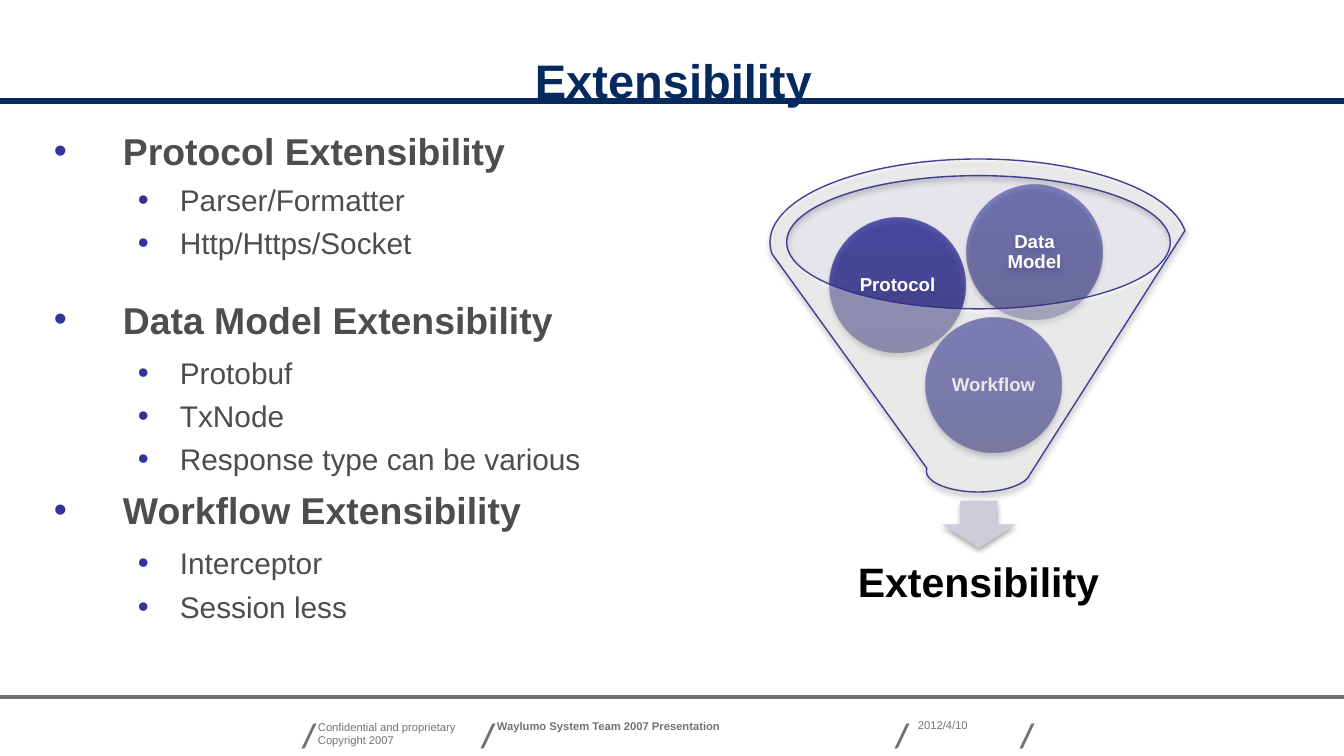
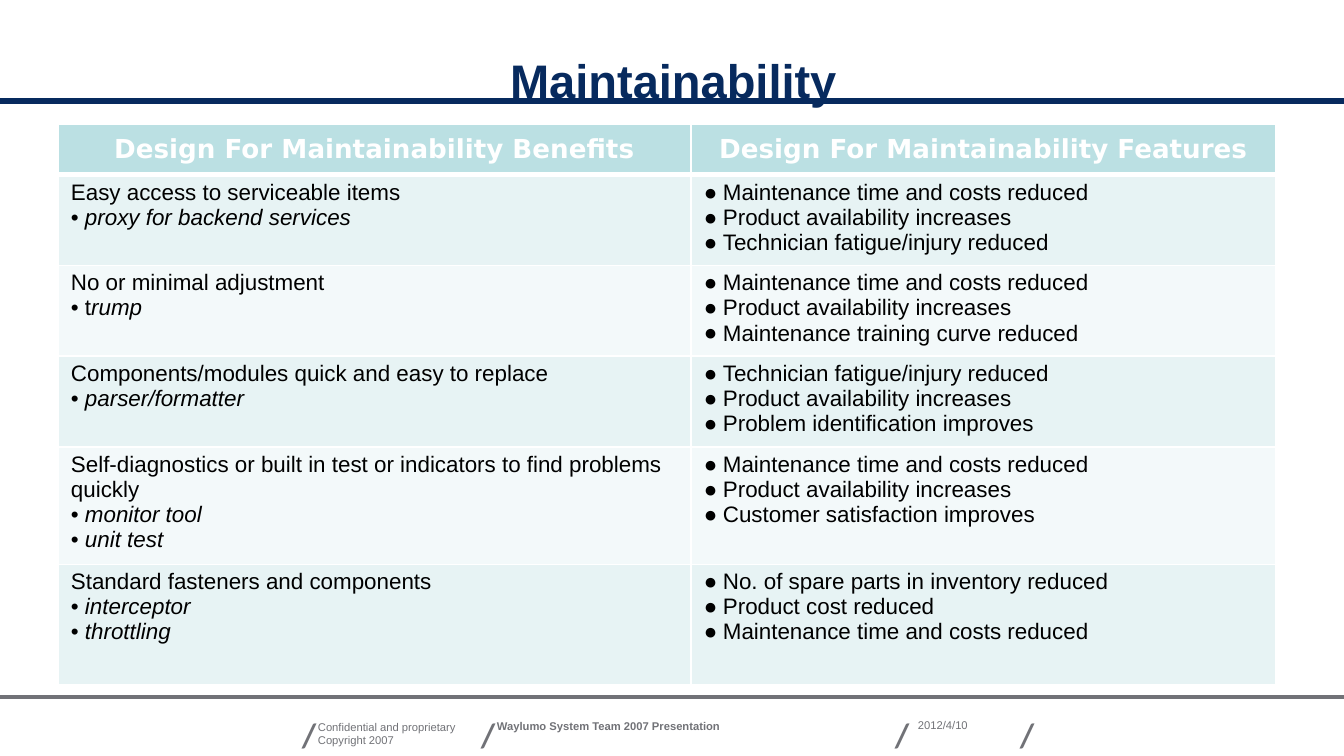
from lxml.etree import SubElement
from pptx import Presentation
from pptx.dml.color import RGBColor
from pptx.enum.shapes import MSO_CONNECTOR, MSO_SHAPE
from pptx.enum.text import MSO_ANCHOR, PP_ALIGN
from pptx.oxml import parse_xml
from pptx.oxml.ns import nsdecls, qn
from pptx.util import Pt

PX = 914400 / 134.4
WIDTH, HEIGHT = 1344, 756
NAVY, GREY, WHITE, BLACK = "072A5E", "717277", "FFFFFF", "000000"
BODY_TEXT, BULLET, OUTLINE = "4D4D4D", "333399", "2D2D8A"
HEADER_FILL, ROW_FILLS = "BBE0E3", ("E7F3F4", "F3F9FA")

TOPICS = [
    ("Protocol Extensibility", ["Parser/Formatter", "Http/Https/Socket"]),
    ("Data Model Extensibility", ["Protobuf", "TxNode", "Response type can be various"]),
    ("Workflow Extensibility", ["Interceptor", "Session less"]),
]
# Space before each topic heading and before its first point, in points
TOPIC_SPACES = [(0, 4.5), (19.5, 7), (5.5, 7)]

TIME = "Maintenance time and costs reduced"
AVAILABILITY = "Product availability increases"
FATIGUE = "Technician fatigue/injury reduced"
HEADINGS = ["Design For Maintainability Benefits", "Design For Maintainability Features"]
# Benefit, its examples (any part before "|" stays upright), features
MAINTENANCE_ROWS = [
    ("Easy access to serviceable items", ["proxy for backend services"],
     [TIME, AVAILABILITY, FATIGUE]),
    ("No or minimal adjustment", ["t|rump"],
     [TIME, AVAILABILITY, "Maintenance training curve reduced"]),
    ("Components/modules quick and easy to replace", ["parser/formatter"],
     [FATIGUE, AVAILABILITY, "Problem identification improves"]),
    ("Self-diagnostics or built in test or indicators to find problems quickly",
     ["monitor tool", "unit test"],
     [TIME, AVAILABILITY, "Customer satisfaction improves"]),
    ("Standard fasteners and components", ["interceptor", "throttling"],
     ["No. of spare parts in inventory reduced", "Product cost reduced", TIME]),
]
COLUMN_WIDTHS = [633, 585]
ROW_HEIGHTS = [51, 87, 87, 87, 108, 120]


def px(length):
    return round(length * PX)


def color(value):
    return RGBColor.from_string(value)


def style(paragraph, size, text_color, bold=False, font="Arial", align=PP_ALIGN.LEFT):
    paragraph.alignment = align
    paragraph.font.size = Pt(size)
    paragraph.font.bold = bold
    paragraph.font.name = font
    paragraph.font.color.rgb = color(text_color)


def set_bullet(paragraph, character, margin, hang, bullet_color=None, percent=None):
    properties = paragraph._p.get_or_add_pPr()
    properties.set("marL", str(px(margin)))
    properties.set("indent", str(-px(hang)))
    if bullet_color:
        SubElement(SubElement(properties, qn("a:buClr")), qn("a:srgbClr"), val=bullet_color)
    if percent:
        SubElement(properties, qn("a:buSzPct"), val=str(percent * 1000))
    SubElement(properties, qn("a:buFont"), typeface="Arial")
    SubElement(properties, qn("a:buChar"), char=character)


def set_insets(frame, left, top, right, bottom):
    frame.margin_left, frame.margin_top = px(left), px(top)
    frame.margin_right, frame.margin_bottom = px(right), px(bottom)


def next_paragraph(frame):
    """Return the empty first paragraph, or a new one once that is filled."""
    first = frame.paragraphs[0]
    return frame.add_paragraph() if first.runs else first


def add_frame(slide, box, insets=(0, 0, 0, 0), wrap=True):
    frame = slide.shapes.add_textbox(*map(px, box)).text_frame
    frame.word_wrap = wrap
    frame.vertical_anchor = MSO_ANCHOR.TOP
    set_insets(frame, *insets)
    return frame


def add_text(slide, box, lines, size, text_color, insets=(0, 0, 0, 0), wrap=True, **options):
    frame = add_frame(slide, box, insets, wrap)
    for line in lines:
        paragraph = next_paragraph(frame)
        paragraph.add_run().text = line
        style(paragraph, size, text_color, **options)
    return frame


def add_rule(slide, y, rule_color, width):
    line = slide.shapes.add_connector(MSO_CONNECTOR.STRAIGHT, 0, px(y), px(WIDTH), px(y))
    line.line.color.rgb = color(rule_color)
    line.line.width = Pt(width)
    SubElement(line._element.spPr, qn("a:effectLst"))


def add_footer(slide, top):
    add_rule(slide, top, GREY, 2)
    for x in (302, 481, 895, 1020):
        add_text(slide, (x, top + 17, 11, 31), ["/"], 18, GREY, wrap=False,
                 bold=True, font="Calibri")
    insets = (13, 7, 13, 7)
    add_text(slide, (305, top + 16, 191, 23),
             ["Confidential and proprietary", "Copyright 2007"], 6, GREY, insets)
    add_text(slide, (484, top + 16, 314, 31),
             ["Waylumo System Team 2007 Presentation"], 6, GREY, insets, bold=True)
    add_text(slide, (918, top + 21, 73, 16), ["2012/4/10"], 6, GREY)


def new_slide(presentation, title):
    slide = presentation.slides.add_slide(presentation.slide_layouts[6])
    slide.background.fill.solid()
    slide.background.fill.fore_color.rgb = color(WHITE)
    add_rule(slide, 101, NAVY, 3)
    add_footer(slide, 697)
    add_text(slide, (47, 47, 1253, 44), [title], 25.2, NAVY, insets=(0, 5, 0, 0),
             bold=True, align=PP_ALIGN.CENTER)
    return slide


def add_topics(slide, box):
    frame = add_frame(slide, box, insets=(7, 2, 0, 0))
    for (heading, points), (heading_space, first_space) in zip(TOPICS, TOPIC_SPACES):
        paragraph = next_paragraph(frame)
        paragraph.add_run().text = heading
        paragraph.space_before = Pt(heading_space)
        set_bullet(paragraph, "•", 69, 69, BULLET)
        style(paragraph, 20, BODY_TEXT, bold=True)
        for index, point in enumerate(points):
            paragraph = next_paragraph(frame)
            paragraph.add_run().text = point
            paragraph.level = 1
            paragraph.space_before = Pt(4 if index else first_space)
            set_bullet(paragraph, "•", 126, 42, BULLET, 105)
            style(paragraph, 16, BODY_TEXT)


def add_shape(slide, kind, box, fill=None, alpha=100):
    shape = slide.shapes.add_shape(kind, *map(px, box))
    shape.shadow.inherit = False
    shape.line.fill.background()
    if fill:
        shape.fill.solid()
        shape.fill.fore_color.rgb = color(fill)
        set_alpha(shape.fill._xPr.find(qn("a:solidFill")), alpha)
    return shape


def set_alpha(solid_fill, percent):
    SubElement(solid_fill[0], qn("a:alpha"), val=str(percent * 1000))


def add_shadow(shape):
    effects = shape._element.spPr.find(qn("a:effectLst"))
    shadow = SubElement(effects, qn("a:outerShdw"), blurRad=str(Pt(3.1)), dist=str(Pt(1.8)),
                        dir="5400000", rotWithShape="0")
    SubElement(SubElement(shadow, qn("a:srgbClr"), val=BLACK), qn("a:alpha"), val="35000")


def set_ball_gradient(shape, alpha):
    stops = "".join(
        f'<a:gs pos="{position}000"><a:srgbClr val="{value}">'
        f'<a:alpha val="{alpha}000"/></a:srgbClr></a:gs>'
        for position, value in ((0, "171771"), (80, "1E1E93"), (100, "1C1C96")))
    gradient = parse_xml(f'<a:gradFill {nsdecls("a")} rotWithShape="1"><a:gsLst>{stops}</a:gsLst>'
                         '<a:lin ang="16200000" scaled="0"/></a:gradFill>')
    shape._element.spPr.find(qn("a:prstGeom")).addnext(gradient)


def add_ball(slide, x, y, label, alpha):
    ball = add_shape(slide, MSO_SHAPE.OVAL, (x, y, 135, 135))
    set_ball_gradient(ball, alpha)
    add_shadow(ball)
    frame = ball.text_frame
    frame.word_wrap = True
    frame.vertical_anchor = MSO_ANCHOR.MIDDLE
    set_insets(frame, 1, 1, 1, 1)
    paragraph = frame.paragraphs[0]
    paragraph.add_run().text = label
    paragraph.line_spacing = 0.9
    style(paragraph, 10, WHITE, bold=True, align=PP_ALIGN.CENTER)


def add_funnel(slide, box):
    left, top, width, height = box
    add_shape(slide, MSO_SHAPE.OVAL, (left + 16, top + 16, width - 33, 133), "BEBECF", 40)
    arrow = add_shape(slide, MSO_SHAPE.DOWN_ARROW,
                      (left + 172, top + height + 9, 74, 47), "CDCDDA")
    add_shadow(arrow)
    result = add_text(slide, (left + 30, top + height + 48, width - 60, 89),
                      ["Extensibility"], 22, BLACK, insets=(23, 23, 23, 23),
                      bold=True, align=PP_ALIGN.CENTER)
    result.vertical_anchor = MSO_ANCHOR.MIDDLE
    result.paragraphs[0].line_spacing = 0.9
    for x, y, label, alpha in ((156, 159, "Workflow", 90),
                               (60, 59, "Protocol", 70),
                               (197, 26, "Data Model", 50)):
        add_ball(slide, left + x, top + y, label, alpha)
    funnel = add_shape(slide, MSO_SHAPE.FUNNEL, box, WHITE, 40)
    funnel.line.color.rgb = color(OUTLINE)
    funnel.line.width = Pt(0.75)
    set_alpha(funnel.line._ln.find(qn("a:solidFill")), 90)
    add_shadow(funnel)


def format_cell(cell, fill, insets, bottom_width=1):
    """Fill the cell, set its insets and give it white borders."""
    cell.fill.solid()
    cell.fill.fore_color.rgb = color(fill)
    set_insets(cell, *insets)
    properties = cell._tc.get_or_add_tcPr()
    for index, side in enumerate("LRTB"):
        width = Pt(bottom_width if side == "B" else 1)
        properties.insert(index, parse_xml(
            f'<a:ln{side} {nsdecls("a")} w="{width}"><a:solidFill>'
            f'<a:srgbClr val="{WHITE}"/></a:solidFill></a:ln{side}>'))


def add_cell_line(cell, text, bullet=None, hang=0, italic=False):
    paragraph = next_paragraph(cell.text_frame)
    upright, _, rest = text.rpartition("|")
    if upright:
        paragraph.add_run().text = upright
        paragraph.runs[0].font.italic = False
    run = paragraph.add_run()
    run.text = rest
    run.font.italic = italic
    if bullet:
        set_bullet(paragraph, bullet, hang, hang)
    style(paragraph, 12, BLACK)


def add_maintenance_table(slide, left, top):
    table = slide.shapes.add_table(
        len(ROW_HEIGHTS), len(COLUMN_WIDTHS), px(left), px(top),
        px(sum(COLUMN_WIDTHS)), px(sum(ROW_HEIGHTS))).table
    table.horz_banding = False
    for column, width in zip(table.columns, COLUMN_WIDTHS):
        column.width = px(width)
    for row, height in zip(table.rows, ROW_HEIGHTS):
        row.height = px(height)
    for cell, heading in zip(table.rows[0].cells, HEADINGS):
        format_cell(cell, HEADER_FILL, (1, 1, 1, 1), bottom_width=3)
        cell.vertical_anchor = MSO_ANCHOR.MIDDLE
        paragraph = cell.text_frame.paragraphs[0]
        paragraph.add_run().text = heading
        style(paragraph, 14, WHITE, bold=True, font="DejaVu Sans", align=PP_ALIGN.CENTER)
    for index, (benefit, examples, features) in enumerate(MAINTENANCE_ROWS):
        benefit_cell, feature_cell = table.rows[index + 1].cells
        for cell in (benefit_cell, feature_cell):
            format_cell(cell, ROW_FILLS[index % 2], (13, 5, 13, 5))
        add_cell_line(benefit_cell, benefit)
        for example in examples:
            add_cell_line(benefit_cell, example, "•", 14, italic=True)
        for feature in features:
            add_cell_line(feature_cell, feature, "●", 19)


def build_extensibility(presentation):
    slide = new_slide(presentation, "Extensibility")
    add_topics(slide, (47, 126, 1253, 554))
    add_funnel(slide, (770, 159, 417, 333))


def build_maintainability(presentation):
    slide = new_slide(presentation, "Maintainability")
    add_maintenance_table(slide, 58, 124)


def main():
    presentation = Presentation()
    presentation.slide_width, presentation.slide_height = px(WIDTH), px(HEIGHT)
    build_extensibility(presentation)
    build_maintainability(presentation)
    presentation.save("out.pptx")


if __name__ == "__main__":
    main()
